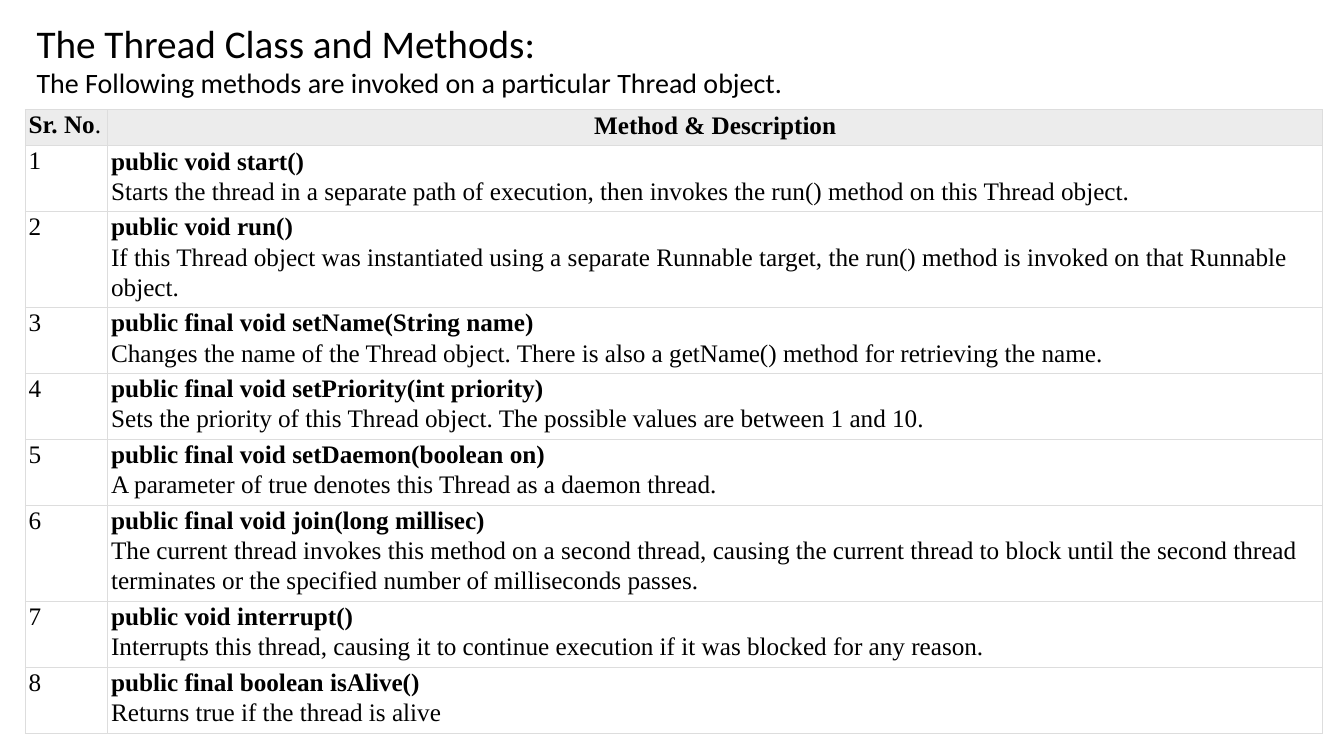
import pptx
import pptx.util
import pptx.dml.color
import pptx.enum.text
import pptx.oxml
import pptx.oxml.ns

Cm = pptx.util.Cm
Pt = pptx.util.Pt
Align = pptx.enum.text.PP_ALIGN
Anchor = pptx.enum.text.MSO_ANCHOR
Rgb = pptx.dml.color.RGBColor.from_string

HUES = {"ink": "000000", "head": "ECECEC", "rule": "DDDDDD"}
BIG = {"name": "Calibri", "size": Pt(28), "bold": False}
SUB = {"name": "Calibri", "size": Pt(20), "bold": False}
BODY = {"name": "Times New Roman", "size": Pt(18), "bold": False}
BOLD = {**BODY, "bold": True}


def write(para, runs, lead, align=Align.LEFT):
    form = {"line_spacing": Pt(lead), "space_before": Pt(0), "alignment": align}
    for key, value in form.items():
        setattr(para, key, value)
    for text, look in runs:
        run = para.add_run()
        run.text = text
        for key, value in look.items():
            setattr(run.font, key, value)
        run.font.color.rgb = Rgb(HUES["ink"])


def frame(cell, hue=None):
    # Borders come before the fill in the cell properties
    props = cell._tc.get_or_add_tcPr()
    for side in "LRTB":
        props.append(pptx.oxml.parse_xml(
            f'<a:ln{side} {pptx.oxml.ns.nsdecls("a")} w="{Pt(0.75)}"><a:solidFill>'
            f'<a:srgbClr val="{HUES["rule"]}"/></a:solidFill></a:ln{side}>'))
    if hue:
        cell.fill.solid()
        cell.fill.fore_color.rgb = Rgb(hue)
    else:
        cell.fill.background()
    form = {"margin_left": Cm(0.08), "margin_right": 0, "margin_top": 0,
            "margin_bottom": 0, "vertical_anchor": Anchor.TOP}
    for key, value in form.items():
        setattr(cell, key, value)


deck = pptx.Presentation()
deck.slide_width, deck.slide_height = Cm(33.87), Cm(19.05)
slide = deck.slides.add_slide(deck.slide_layouts[5])

# Title
title = slide.shapes.title
place = {"left": Cm(0.89), "top": Cm(0.43), "width": Cm(20.12), "height": Cm(2.08)}
for key, value in place.items():
    setattr(title, key, value)
box = title.text_frame
form = {"margin_left": Cm(0.03), "margin_right": 0, "margin_top": Cm(0.05),
        "margin_bottom": 0, "vertical_anchor": Anchor.MIDDLE, "word_wrap": True,
        "auto_size": pptx.enum.text.MSO_AUTO_SIZE.NONE}
for key, value in form.items():
    setattr(box, key, value)
write(box.paragraphs[0], [("The Thread Class and Methods:", BIG)], 33.4)
write(box.add_paragraph(),
      [("The Following methods are invoked on a particular Thread object.", SUB)], 23.8)

# Methods: signature, description, lines of description
methods = [
    ("public void start()",
     "Starts the thread in a separate path of execution, then invokes the run() "
     "method on this Thread object.", 1),
    ("public void run()",
     "If this Thread object was instantiated using a separate Runnable target, the "
     "run() method is invoked on that Runnable object.", 2),
    ("public final void setName(String name)",
     "Changes the name of the Thread object. There is also a getName() method for "
     "retrieving the name.", 1),
    ("public final void setPriority(int priority)",
     "Sets the priority of this Thread object. The possible values are between 1 "
     "and 10.", 1),
    ("public final void setDaemon(boolean on)",
     "A parameter of true denotes this Thread as a daemon thread.", 1),
    ("public final void join(long millisec)",
     "The current thread invokes this method on a second thread, causing the current "
     "thread to block until the second thread terminates or the specified number of "
     "milliseconds passes.", 2),
    ("public void interrupt()",
     "Interrupts this thread, causing it to continue execution if it was blocked for "
     "any reason.", 1),
    ("public final boolean isAlive()", "Returns true if the thread is alive", 1),
]

# Table
grid = slide.shapes.add_table(len(methods) + 1, 2, Cm(0.64), Cm(2.77),
                              Cm(32.69), Cm(15.7)).table
grid.first_row = grid.horz_banding = False
grid.columns[0].width, grid.columns[1].width = Cm(2.08), Cm(30.61)

# Header row
grid.rows[0].height = Cm(0.9)
left, right = grid.cell(0, 0), grid.cell(0, 1)
for cell in (left, right):
    frame(cell, HUES["head"])
right.margin_left = 0
write(left.text_frame.paragraphs[0], [("Sr. No", BOLD), (".", BODY)], 21)
write(right.text_frame.paragraphs[0], [("Method & Description", BOLD)], 21.5, Align.CENTER)

# Method rows
for num, (call, note, lines) in enumerate(methods, 1):
    grid.rows[num].height = Cm(0.9 + 0.76 * lines)
    left, right = grid.cell(num, 0), grid.cell(num, 1)
    for cell in (left, right):
        frame(cell)
    write(left.text_frame.paragraphs[0], [(str(num), BODY)], 21)
    write(right.text_frame.paragraphs[0], [(call, BOLD)], 21.3)
    write(right.text_frame.add_paragraph(), [(note, BODY)], 21.5)

deck.save("out.pptx")
